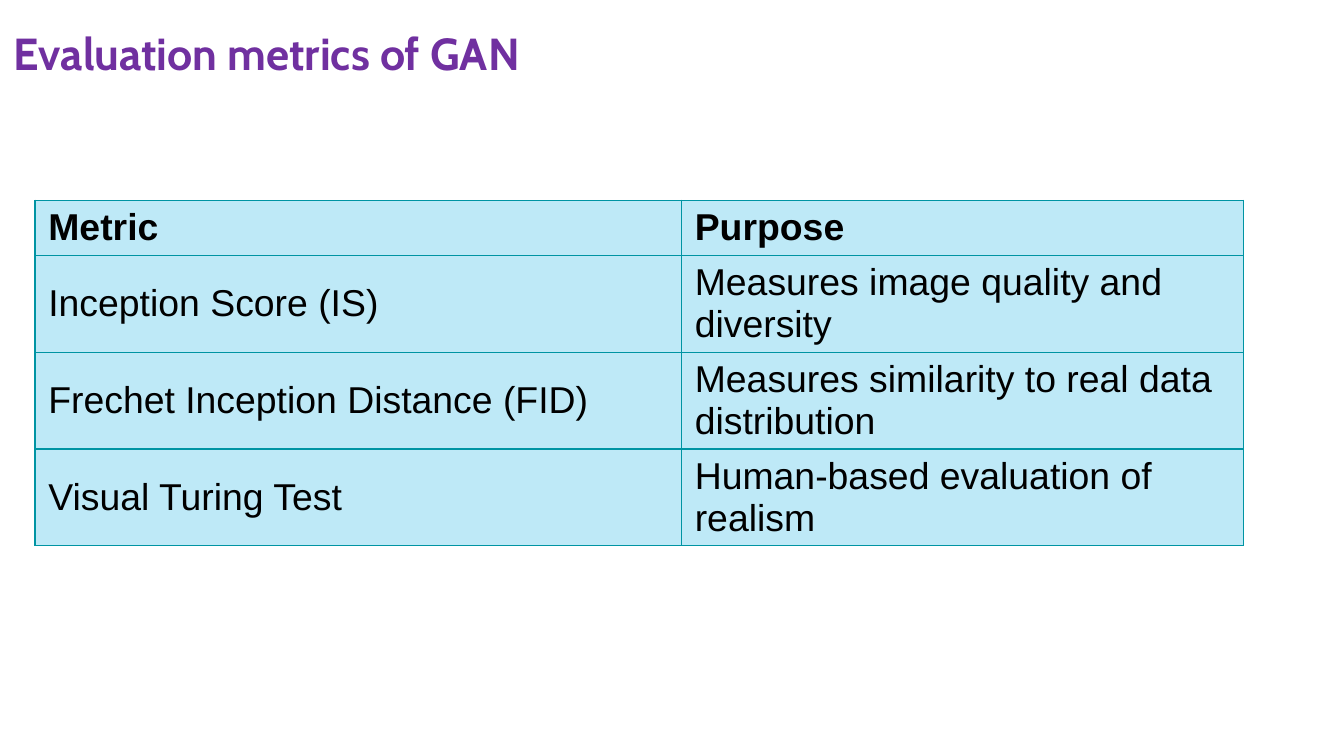
from lxml.etree import SubElement
from pptx import Presentation
from pptx.dml.color import RGBColor
from pptx.enum.text import MSO_ANCHOR, PP_ALIGN
from pptx.oxml.ns import qn
from pptx.util import Inches, Pt

TITLE = "Evaluation metrics of GAN"
METRICS = [
    ("Metric", "Purpose"),
    ("Inception Score (IS)", "Measures image quality and diversity"),
    ("Frechet Inception Distance (FID)", "Measures similarity to real data distribution"),
    ("Visual Turing Test", "Human-based evaluation of realism"),
]
COLUMN_WIDTHS = (4.81, 4.18)
HEADER_HEIGHT, ROW_HEIGHT = 0.41, 0.72
PURPLE, BLACK, TEAL, PALE_BLUE = "7030A0", "000000", "0094A3", "BEE9F7"


def paint(fill, color):
    fill.solid()
    fill.fore_color.rgb = RGBColor.from_string(color)


def write(frame, text, font, size, color, bold):
    para = frame.paragraphs[0]
    para.alignment = PP_ALIGN.LEFT
    span = para.add_run()
    span.text = text
    span.font.name = font
    span.font.size = Pt(size)
    span.font.bold = bold
    paint(span.font.fill, color)


def add_borders(cell, color, width):
    properties = cell._tc.get_or_add_tcPr()
    for side in ("a:lnL", "a:lnR", "a:lnT", "a:lnB"):
        line = SubElement(properties, qn(side), w=str(Pt(width)))
        fill = SubElement(line, qn("a:solidFill"))
        SubElement(fill, qn("a:srgbClr"), val=color)


def add_title(page):
    box = page.shapes.title
    box.left, box.top, box.width, box.height = map(Inches, (0, 0.09, 9.55, 0.69))
    frame = box.text_frame
    frame.word_wrap = True
    frame.vertical_anchor = MSO_ANCHOR.TOP
    frame.margin_left = frame.margin_right = Inches(0.1)
    frame.margin_top = frame.margin_bottom = Inches(0.1)
    write(frame, TITLE, "Cabin", 24, PURPLE, True)


def add_metrics_table(page):
    heights = [HEADER_HEIGHT] + [ROW_HEIGHT] * (len(METRICS) - 1)
    table = page.shapes.add_table(
        len(METRICS), len(COLUMN_WIDTHS), Inches(0.26), Inches(1.49),
        Inches(sum(COLUMN_WIDTHS)), Inches(sum(heights)),
    ).table
    table.horz_banding = False
    for column, width in zip(table.columns, COLUMN_WIDTHS):
        column.width = Inches(width)
    for index, (row, texts) in enumerate(zip(table.rows, METRICS)):
        row.height = Inches(heights[index])
        for cell, text in zip(row.cells, texts):
            cell.vertical_anchor = MSO_ANCHOR.MIDDLE
            add_borders(cell, TEAL, 0.75)
            paint(cell.fill, PALE_BLUE)
            write(cell.text_frame, text, "Arial", 20, BLACK, index == 0)


def main():
    """Build the slide on GAN evaluation metrics."""
    deck = Presentation()
    deck.slide_width = Inches(10)
    deck.slide_height = deck.slide_width * 9 // 16
    page = deck.slides.add_slide(deck.slide_layouts[5])
    add_title(page)
    add_metrics_table(page)
    deck.save("out.pptx")


if __name__ == "__main__":
    main()
